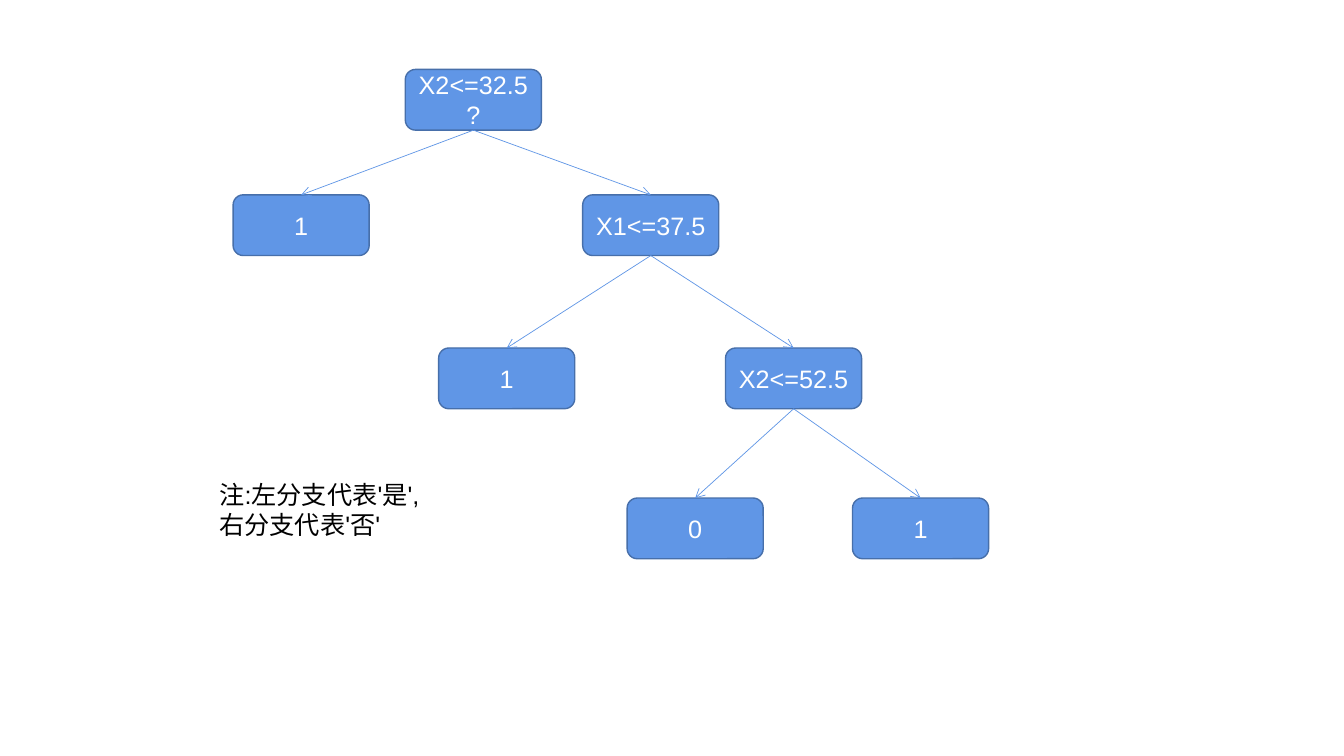
from lxml.etree import SubElement
from pptx import Presentation
from pptx.dml.color import RGBColor
from pptx.enum.shapes import MSO_CONNECTOR, MSO_SHAPE
from pptx.enum.text import MSO_ANCHOR, MSO_AUTO_SIZE, PP_ALIGN
from pptx.oxml.ns import qn
from pptx.util import Cm, Pt

BLUE = RGBColor(0x60, 0x96, 0xE6)
DARK_BLUE = RGBColor(0x47, 0x6F, 0xAA)
WHITE = RGBColor(0xFF, 0xFF, 0xFF)
BLACK = RGBColor(0x00, 0x00, 0x00)

NODE_WIDTH, NODE_HEIGHT = 3.43, 1.53
LEVEL_TOPS = [1.75, 4.91, 8.77, 12.55]
TOP_SITE, BOTTOM_SITE = 0, 2


class TreeSlide:
    """Style and drawing methods for the decision tree slide."""

    font_name = "Arial"
    font_size = Pt(18)

    def __init__(self, slide):
        self.shapes = slide.shapes

    def set_label(self, frame, text, color, align):
        frame.word_wrap = True
        paragraph = frame.paragraphs[0]
        paragraph.text = text
        paragraph.alignment = align
        paragraph.font.name = self.font_name
        paragraph.font.size = self.font_size
        paragraph.font.color.rgb = color

    def node(self, text, center, level):
        box = self.shapes.add_shape(
            MSO_SHAPE.ROUNDED_RECTANGLE,
            Cm(center - NODE_WIDTH / 2), Cm(LEVEL_TOPS[level]),
            Cm(NODE_WIDTH), Cm(NODE_HEIGHT))
        box.shadow.inherit = False
        box.fill.solid()
        box.fill.fore_color.rgb = BLUE
        box.line.color.rgb = DARK_BLUE
        box.line.width = Pt(1)
        box.text_frame.vertical_anchor = MSO_ANCHOR.MIDDLE
        self.set_label(box.text_frame, text, WHITE, PP_ALIGN.CENTER)
        return box

    def branch(self, parent, child):
        arrow = self.shapes.add_connector(MSO_CONNECTOR.STRAIGHT, 0, 0, 0, 0)
        arrow.begin_connect(parent, BOTTOM_SITE)
        arrow.end_connect(child, TOP_SITE)
        arrow.line.color.rgb = BLUE
        arrow.line.width = Pt(0.5)
        properties = arrow._element.spPr
        SubElement(properties.find(qn("a:ln")), qn("a:tailEnd"), type="arrow")
        SubElement(properties, qn("a:effectLst"))

    def note(self, text, left, top, width, height):
        box = self.shapes.add_textbox(Cm(left), Cm(top), Cm(width), Cm(height))
        box.text_frame.auto_size = MSO_AUTO_SIZE.SHAPE_TO_FIT_TEXT
        self.set_label(box.text_frame, text, BLACK, PP_ALIGN.LEFT)


presentation = Presentation()
presentation.slide_width, presentation.slide_height = Cm(33.87), Cm(19.05)
tree = TreeSlide(presentation.slides.add_slide(presentation.slide_layouts[6]))

# Decision nodes and leaves: text, horizontal center, level
root = tree.node("X2<=32.5?", 11.93, 0)
root_yes = tree.node("1", 7.59, 1)
x1_split = tree.node("X1<=37.5", 16.4, 1)
x1_yes = tree.node("1", 12.77, 2)
x2_split = tree.node("X2<=52.5", 20, 2)
x2_yes = tree.node("0", 17.52, 3)
x2_no = tree.node("1", 23.2, 3)

# Branches: yes to the left, no to the right
for parent, children in [(root, (root_yes, x1_split)),
                         (x1_split, (x1_yes, x2_split)),
                         (x2_split, (x2_yes, x2_no))]:
    for child in children:
        tree.branch(parent, child)

# Reading note
tree.note("注:左分支代表'是',右分支代表'否'", 5.28, 11.96, 5.77, 1.8)

presentation.save("out.pptx")
